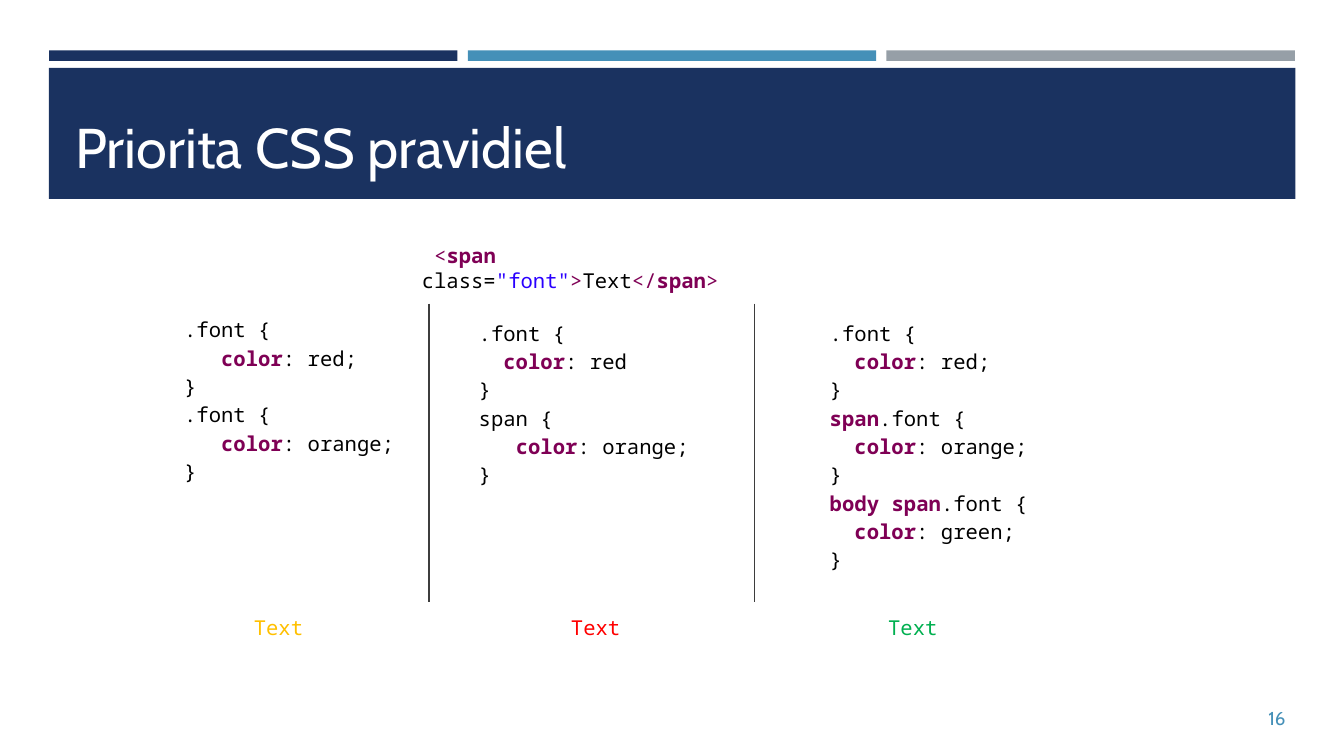
from lxml import etree
from pptx import Presentation
from pptx.dml.color import RGBColor
from pptx.enum.shapes import MSO_CONNECTOR, MSO_SHAPE
from pptx.enum.text import MSO_ANCHOR, PP_ALIGN
from pptx.oxml.ns import qn
from pptx.util import Pt

RECTANGLE = MSO_SHAPE.RECTANGLE
STRAIGHT = MSO_CONNECTOR.STRAIGHT
TOP, MIDDLE, BOTTOM = MSO_ANCHOR.TOP, MSO_ANCHOR.MIDDLE, MSO_ANCHOR.BOTTOM
LEFT, RIGHT = PP_ALIGN.LEFT, PP_ALIGN.RIGHT

COLORS = {
    "navy": "1A3260", "blue": "4590B8", "gray": "969FA7", "white": "FFFFFF",
    "divider": "3D3D3D", "black": "000000", "keyword": "7F0055",
    "string": "2A00FF", "orange": "FFC000", "red": "FF0000", "green": "00B050",
}
HEADING_FONT = "Cabin"
CODE_FONT = "Noto Sans Mono"
CODE_TOP = 162.7
RESULT_TOP = 322.6


def rgb(name):
    return RGBColor.from_string(COLORS[name])


def add_bar(slide, left, top, width, height, color):
    shape = slide.shapes.add_shape(RECTANGLE, Pt(left), Pt(top), Pt(width), Pt(height))
    shape.shadow.inherit = False
    shape.fill.solid()
    shape.fill.fore_color.rgb = rgb(color)
    shape.line.fill.background()


def add_divider(slide, x):
    line = slide.shapes.add_connector(STRAIGHT, Pt(x), Pt(CODE_TOP), Pt(x), Pt(RESULT_TOP))
    line.line.color.rgb = rgb("divider")
    line.line.width = Pt(0.75)
    etree.SubElement(line._element.spPr, qn("a:effectLst"))


def add_text(slide, box, lines, font=CODE_FONT, size=11, inset=(7.2, 7.2),
             anchor=TOP, align=LEFT, spacing=1.0):
    """Each line is a list of (text, color, bold) runs."""
    shape = slide.shapes.add_textbox(*(Pt(length) for length in box))
    frame = shape.text_frame
    frame.word_wrap = True
    frame.vertical_anchor = anchor
    frame.margin_left = frame.margin_right = Pt(inset[0])
    frame.margin_top = frame.margin_bottom = Pt(inset[1])
    for index, runs in enumerate(lines):
        paragraph = frame.add_paragraph() if index else frame.paragraphs[0]
        paragraph.alignment = align
        paragraph.line_spacing = spacing
        for text, color, bold in runs:
            run = paragraph.add_run()
            run.text = text
            run.font.name = font
            run.font.size = Pt(size)
            run.font.bold = bold
            run.font.color.rgb = rgb(color)


def plain(text, color="black"):
    return (text, color, False)


def keyword(text):
    return (text, "keyword", True)


def css_rule(selector, value, indent="  "):
    """Three code lines: selector, color declaration, closing brace."""
    return [
        selector + [plain(" {")],
        [plain(indent), keyword("color"), plain(": " + value)],
        [plain("}")],
    ]


def add_header(slide):
    for left, color in ((26.3, "navy"), (250.6, "blue"), (474.9, "gray")):
        add_bar(slide, left, 27, 218.8, 5.6, color)
    add_bar(slide, 26.2, 36.3, 667.8, 70.2, "navy")
    add_text(slide, (34.8, 41.8, 651.6, 59.8), [[plain("Priorita CSS pravidiel", "white")]],
             HEADING_FONT, 30, inset=(5.4, 5.4), anchor=BOTTOM)


def add_markup(slide):
    runs = [
        plain(" "), plain("<", "keyword"), keyword("span"), plain(" class="),
        plain('"font"', "string"), plain(">", "keyword"), plain("Text"),
        plain("</", "keyword"), keyword("span"), plain(">", "keyword"),
    ]
    add_text(slide, (218.9, 123.1, 201.6, 22.3), [runs])


def add_columns(slide):
    font_class = [plain(".font")]
    wide = "   "
    same_selector = css_rule(font_class, "red;", wide) + css_rule(font_class, "orange;", wide)
    class_wins = css_rule(font_class, "red") + css_rule([plain("span")], "orange;", wide)
    most_specific = (
        css_rule(font_class, "red;")
        + css_rule([keyword("span")] + font_class, "orange;")
        + css_rule([keyword("body"), plain(" "), keyword("span")] + font_class, "green;")
    )
    # Code left, code width, inset, code, result left, result color
    columns = (
        (93.2, 154, 5.4, same_selector, 128.9, "orange"),
        (249.4, 141, 7.2, class_wins, 298.8, "red"),
        (437.4, 138.2, 7.2, most_specific, 468.7, "green"),
    )
    for left, width, inset, code, result_left, color in columns:
        add_text(slide, (left, CODE_TOP, width, 150), code,
                 inset=(inset, inset), spacing=1.15)
        add_text(slide, (result_left, RESULT_TOP, 41, 22.3), [[plain("Text", color)]])
    for x in (229.9, 404.3):
        add_divider(slide, x)


def main():
    presentation = Presentation()
    presentation.slide_width, presentation.slide_height = Pt(720), Pt(405)
    slide = presentation.slides.add_slide(presentation.slide_layouts[6])
    add_header(slide)
    add_markup(slide)
    add_columns(slide)
    # Slide number
    add_text(slide, (669.6, 373.7, 24.5, 21.6), [[plain("16", "blue")]], HEADING_FONT, 10,
             inset=(5.4, 2.7), anchor=MIDDLE, align=RIGHT)
    presentation.save("out.pptx")


if __name__ == "__main__":
    main()
